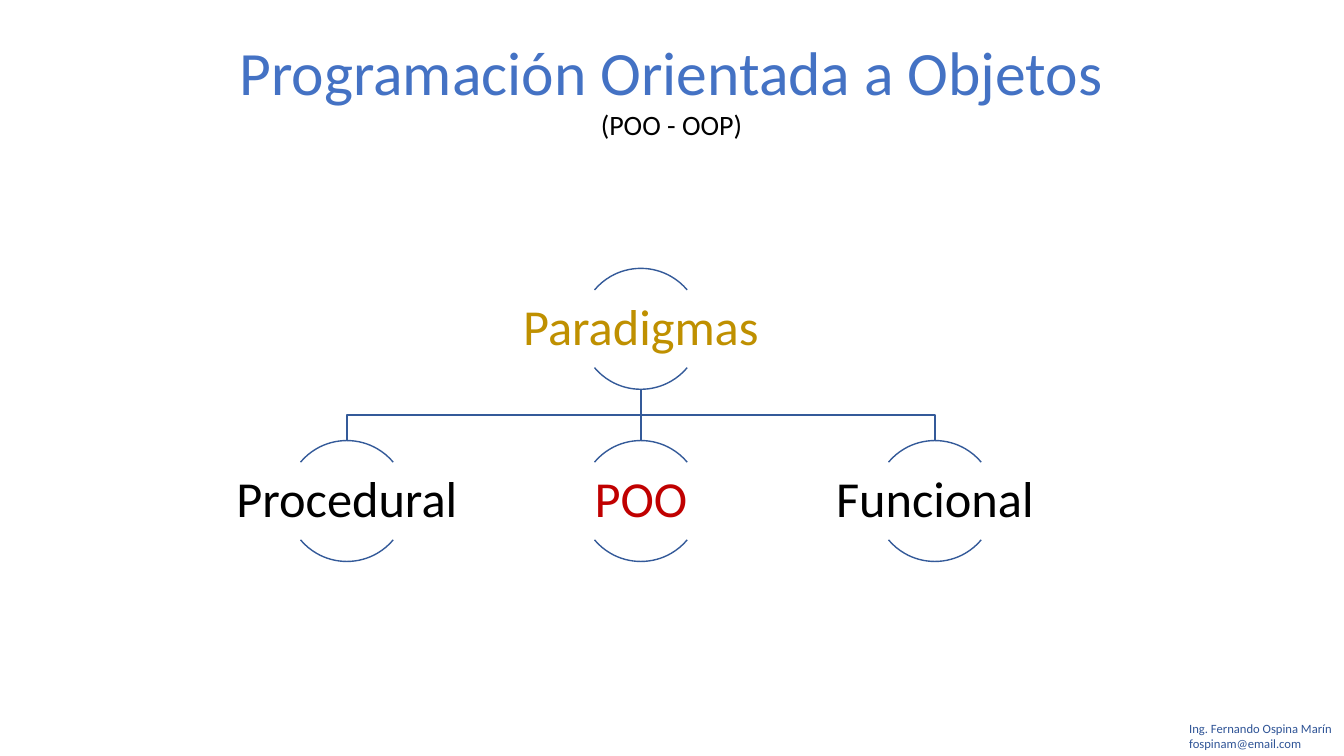
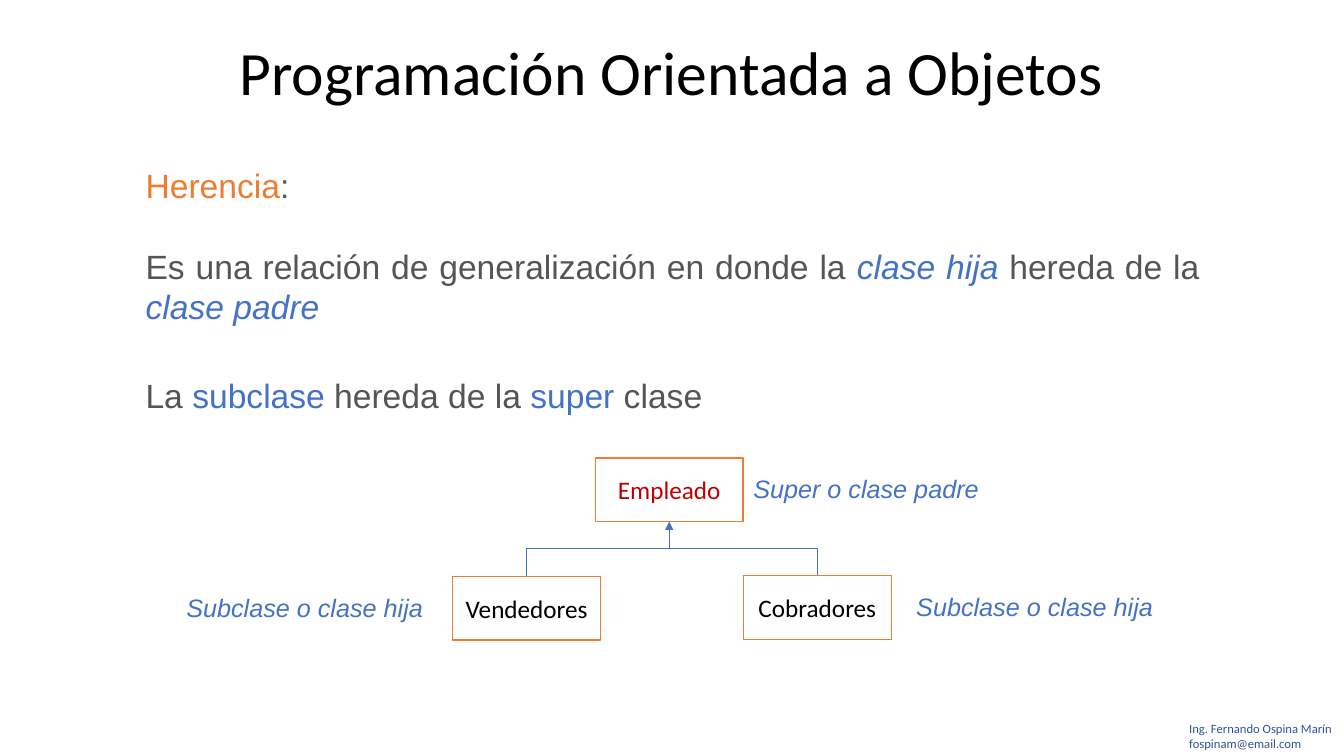
from dataclasses import dataclass
from typing import Any, Optional

from lxml import etree
from pptx import Presentation
from pptx import util as u
from pptx.dml.color import RGBColor
from pptx.enum import shapes, text
from pptx.oxml.ns import qn

COLUMNS, ROWS = 160, 90
CELL = u.Inches(1) // 12

BLACK, WHITE, GRAY = "000000", "FFFFFF", "555555"
BLUE, NAVY, LINE_BLUE = "4472C4", "2F5496", "345A99"
ORANGE, GOLD, RED = "ED7D31", "BF9000", "C00000"
SANS, BODY = "Calibri", "Arial"

LEFT, CENTER, JUSTIFY = text.PP_ALIGN.LEFT, text.PP_ALIGN.CENTER, text.PP_ALIGN.JUSTIFY
TOP, MIDDLE = text.MSO_ANCHOR.TOP, text.MSO_ANCHOR.MIDDLE
TOP_SIDE, BOTTOM_SIDE = 0, 2


@dataclass(frozen=True)
class Point:
    x: float
    y: float

    def emu(self) -> tuple[int, int]:
        return cells(self.x), cells(self.y)


@dataclass(frozen=True)
class Box:
    """A rectangle in grid columns and rows."""
    x: float
    y: float
    w: float
    h: float

    @property
    def top(self) -> Point:
        return Point(self.x + self.w / 2, self.y)

    @property
    def bottom(self) -> Point:
        return Point(self.x + self.w / 2, self.y + self.h)

    def emu(self) -> tuple[int, ...]:
        return tuple(cells(n) for n in (self.x, self.y, self.w, self.h))


@dataclass(frozen=True)
class Run:
    words: str
    color: str = GRAY
    italic: bool = False


@dataclass(frozen=True)
class Paradigm:
    name: str
    color: str
    column: int
    level: int

    @property
    def circle(self) -> Box:
        return Box(69.1 + 35 * self.column, 31.95 + 20.5 * self.level, 14.4, 14.4)


@dataclass(frozen=True)
class ClassNode:
    name: str
    color: str
    x: float
    y: float
    role: str
    role_x: float
    role_width: float

    @property
    def box(self) -> Box:
        return Box(self.x, self.y, 17.6, 7.6)


PARADIGMS = [
    Paradigm("Paradigmas", GOLD, 0, 0),
    Paradigm("Procedural", BLACK, -1, 1),
    Paradigm("POO", RED, 0, 1),
    Paradigm("Funcional", BLACK, 1, 1),
]
CLASSES = [
    ClassNode("Empleado", RED, 70.87, 54.5, "Super o clase padre", 88.5, 30),
    ClassNode("Vendedores", BLACK, 53.9, 68.6, "Subclase o clase hija", 21, 31.2),
    ClassNode("Cobradores", BLACK, 88.5, 68.5, "Subclase o clase hija", 107.9, 31.2),
]


def cells(count: float) -> int:
    return round(count * CELL)


def rgb(color: str) -> RGBColor:
    return RGBColor.from_string(color)


def write(paragraph: Any, words: str, *, size: float, color: str = BLACK,
          font: str = SANS, italic: bool = False, align: Any = LEFT,
          spacing: Optional[float] = None, before: float = 0) -> None:
    """Append a run and set the format of its paragraph."""
    run = paragraph.add_run()
    run.text = words
    run.font.size = u.Pt(size)
    run.font.name = font
    run.font.italic = italic
    run.font.color.rgb = rgb(color)
    paragraph.alignment = align
    paragraph.space_before = u.Pt(before)
    if spacing:
        paragraph.line_spacing = spacing


def add_frame(slide: Any, box: Box, *, anchor: Any = TOP, wrap: bool = True,
              inset: Optional[float] = None) -> Any:
    frame = slide.shapes.add_textbox(*box.emu()).text_frame
    frame.word_wrap = wrap
    frame.vertical_anchor = anchor
    if inset is not None:
        frame.margin_left = frame.margin_right = u.Inches(inset)
        frame.margin_top = frame.margin_bottom = u.Inches(inset)
    return frame


def set_outline(shape: Any, color: str) -> Any:
    shape.shadow.inherit = False
    shape.fill.background()
    shape.line.color.rgb = rgb(color)
    shape.line.width = u.Pt(1)
    return shape


def add_branch(slide: Any, parent: Box, child: Box) -> None:
    """Draw an open outline that bends halfway between the two levels."""
    start, end = parent.bottom, child.top
    bus_y = (start.y + end.y) / 2
    outline = slide.shapes.build_freeform(*start.emu())
    bends = [] if start.x == end.x else [Point(start.x, bus_y), Point(end.x, bus_y)]
    outline.add_line_segments([p.emu() for p in [*bends, end]], close=False)
    set_outline(outline.convert_to_shape(), LINE_BLUE)


def add_elbow(slide: Any, child: Any, start: Point, end: Point, preset: str,
              parent: Any = None) -> None:
    """Draw a connector that leaves the child upwards; it has an arrow at a parent."""
    elbow = slide.shapes.add_connector(
        shapes.MSO_CONNECTOR.ELBOW, *start.emu(), *end.emu())
    elbow.begin_connect(child, TOP_SIDE)
    elbow.line.color.rgb = rgb(BLUE)
    elbow.line.width = u.Pt(0.75)
    if parent is not None:
        elbow.end_connect(parent, BOTTOM_SIDE)
        etree.SubElement(elbow.line._get_or_add_ln(), qn("a:tailEnd"), type="triangle")
    properties = elbow._element.spPr
    etree.SubElement(properties, qn("a:effectLst"))
    properties.find(qn("a:prstGeom")).set("prst", preset)

    rise, run = start.y - end.y, abs(end.x - start.x)
    middle = Point((start.x + end.x) / 2, (start.y + end.y) / 2)
    turned = Box(middle.x - rise / 2, middle.y - run / 2, rise, run)
    elbow.left, elbow.top, elbow.width, elbow.height = turned.emu()
    transform = properties.find(qn("a:xfrm"))
    transform.set("rot", str(270 * 60000))
    transform.set("flipH", "0")
    transform.set("flipV", "1" if end.x < start.x else "0")


def add_title(slide: Any, color: str, subtitle: str = "") -> None:
    frame = add_frame(slide, Box(26.85, 3.4, 106.2, 14.2 if subtitle else 10.1))
    write(frame.paragraphs[0], "Programación Orientada a Objetos",
          size=44, color=color, align=CENTER)
    if subtitle:
        write(frame.add_paragraph(), subtitle, size=20, align=CENTER)


def add_signature(slide: Any) -> None:
    frame = add_frame(slide, Box(140.4, 85.2, 19.7, 4.8), wrap=False)
    write(frame.paragraphs[0], "Ing. Fernando Ospina Marín", size=9, color=NAVY)
    write(frame.add_paragraph(), "fospinam@email.com", size=9, color=NAVY)


def write_runs(paragraph: Any, runs: list[Run], before: float = 0) -> None:
    for run in runs:
        write(paragraph, run.words, size=24, color=run.color, font=BODY,
              italic=run.italic, align=JUSTIFY, before=before)


def add_paradigm(slide: Any, paradigm: Paradigm) -> None:
    """Draw a name between an upper and a lower arc."""
    circle = paradigm.circle
    for start, end in ((132, 192), (24, 84)):
        arc = slide.shapes.add_shape(shapes.MSO_SHAPE.ARC, *circle.emu())
        set_outline(arc, LINE_BLUE)
        arc.adjustments[0], arc.adjustments[1] = start, end
    width, height = 28.9, 9.2
    name_box = Box(circle.top.x - width / 2, circle.y + (circle.h - height) / 2,
                   width, height)
    frame = add_frame(slide, name_box, anchor=MIDDLE, inset=0.02)
    write(frame.paragraphs[0], paradigm.name, size=36, color=paradigm.color,
          align=CENTER, spacing=0.9)


def add_class(slide: Any, node: ClassNode) -> Any:
    """Draw a class box and its role, and return the box."""
    class_box = slide.shapes.add_shape(shapes.MSO_SHAPE.RECTANGLE, *node.box.emu())
    set_outline(class_box, ORANGE)
    class_box.fill.solid()
    class_box.fill.fore_color.rgb = rgb(WHITE)
    class_box.text_frame.vertical_anchor = MIDDLE
    write(class_box.text_frame.paragraphs[0], node.name, size=18,
          color=node.color, align=CENTER)
    role = add_frame(slide, Box(node.role_x, node.y + 1.3, node.role_width, 4.8))
    write(role.paragraphs[0], node.role, size=18, color=BLUE, font=BODY, italic=True)
    return class_box


def build_paradigms(slide: Any) -> None:
    add_title(slide, BLUE, "(POO - OOP)")
    root, *children = [paradigm.circle for paradigm in PARADIGMS]
    for child in children:
        add_branch(slide, root, child)
    for paradigm in PARADIGMS:
        add_paradigm(slide, paradigm)
    add_signature(slide)


def build_inheritance(slide: Any) -> None:
    add_title(slide, BLACK)
    definition = add_frame(slide, Box(16.15, 19.1, 127.8, 20.6))
    write_runs(definition.paragraphs[0], [Run("Herencia", ORANGE), Run(":")])
    write_runs(definition.add_paragraph(), [
        Run("Es una relación de generalización en donde la "),
        Run("clase hija", BLUE, True),
        Run(" hereda de la "),
        Run("clase padre", BLUE, True),
    ], before=28.8)
    summary = add_frame(slide, Box(16.15, 44, 127.8, 6))
    write_runs(summary.paragraphs[0], [
        Run("La "), Run("subclase", BLUE), Run(" hereda de la "),
        Run("super", BLUE), Run(" clase"),
    ])

    employee, seller, collector = [add_class(slide, node) for node in CLASSES]
    employee_box, seller_box, collector_box = [node.box for node in CLASSES]
    junction = Point(employee_box.bottom.x,
                     (employee_box.bottom.y + seller_box.top.y) / 2)
    add_elbow(slide, seller, seller_box.top, employee_box.bottom,
              "bentConnector3", employee)
    add_elbow(slide, collector, collector_box.top, junction, "bentConnector2")
    add_signature(slide)


def main() -> None:
    deck = Presentation()
    deck.slide_width, deck.slide_height = cells(COLUMNS), cells(ROWS)
    blank = deck.slide_layouts[6]
    for build in (build_paradigms, build_inheritance):
        build(deck.slides.add_slide(blank))
    deck.save("out.pptx")


if __name__ == "__main__":
    main()
